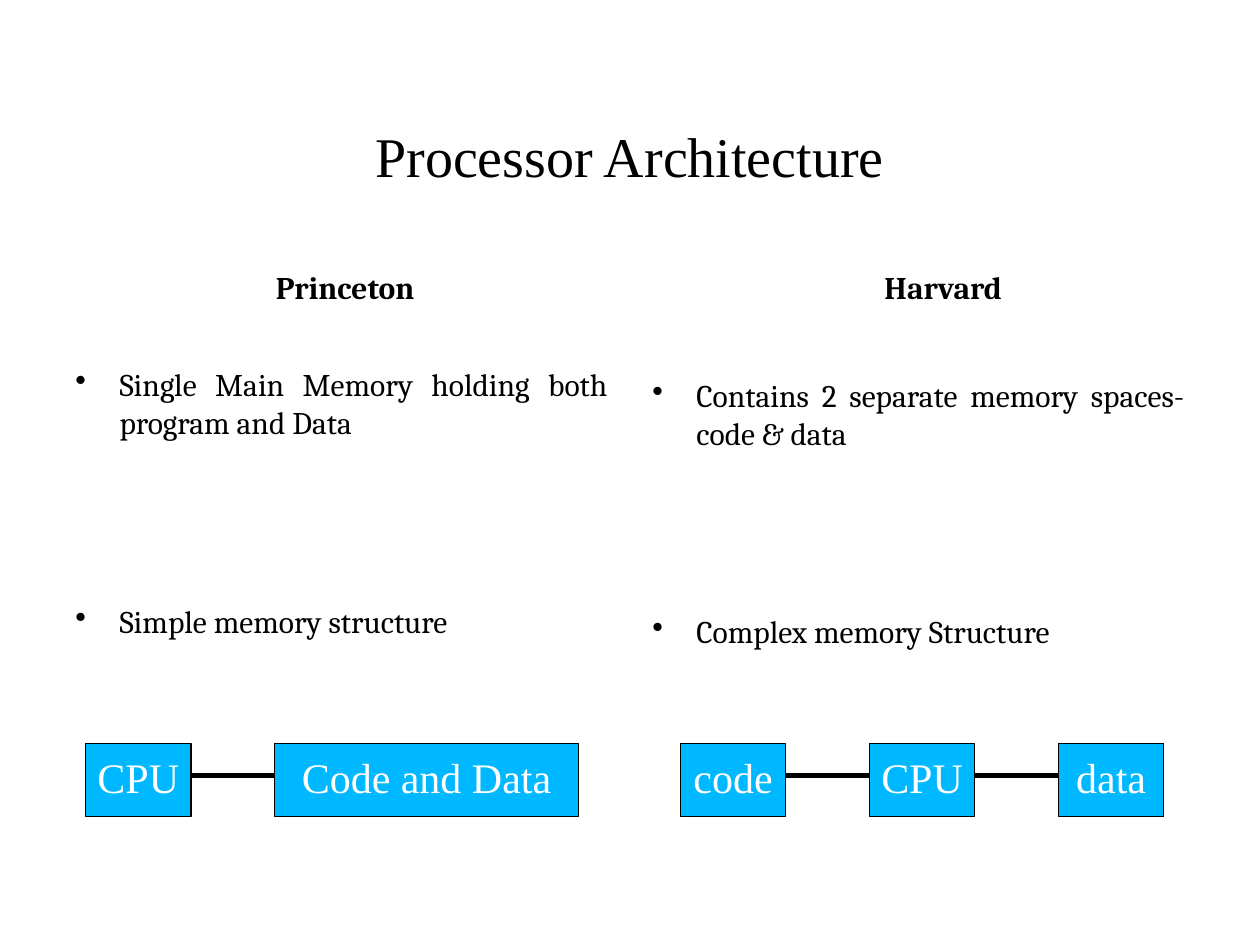
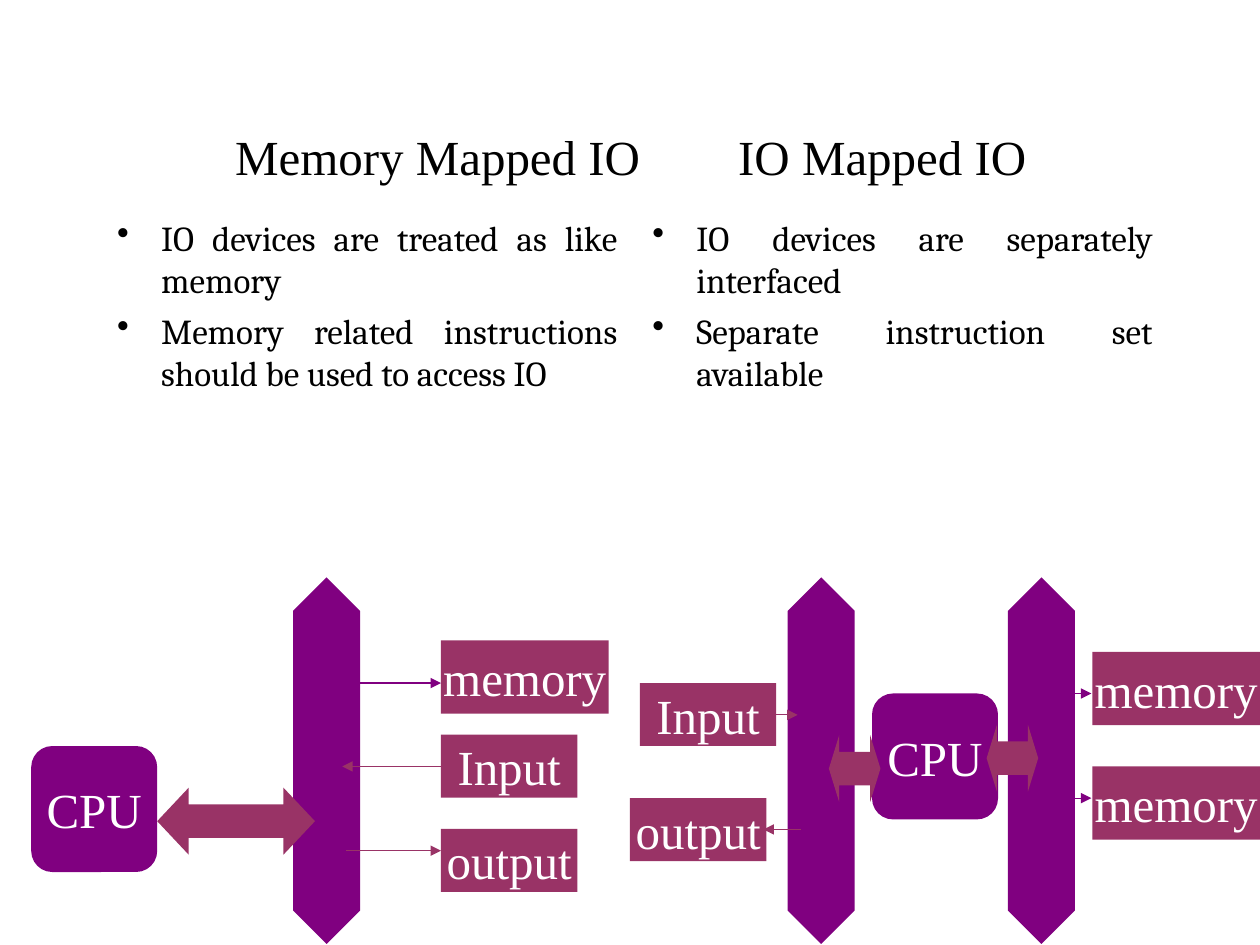
from lxml.etree import SubElement
from pptx import Presentation
from pptx.dml.color import RGBColor
from pptx.enum.shapes import MSO_CONNECTOR, MSO_SHAPE
from pptx.enum.text import MSO_ANCHOR, MSO_AUTO_SIZE, PP_ALIGN
from pptx.oxml.ns import qn
from pptx.util import Cm, Pt

BLACK, WHITE = "000000", "FFFFFF"
SKY, PURPLE, PLUM = "00B8FF", "800080", "993366"
SERIF, BODY = "Times New Roman", "Cambria"
INDENT = Cm(0.89)

BLOCK_WIDTH, BLOCK_HEIGHT, BLOCK_GAP = 2.12, 1.47, 1.69
BUS_SIZE = (1.35, 7.39)
CPU_SIZE = (2.54, 2.54)
MEMORY_SIZE = (3.38, 1.48)
PORT_SIZE = (2.75, 1.27)


def set_all(target, values):
    for name, value in values.items():
        setattr(target, name, value)


def colour(hex_string):
    return RGBColor.from_string(hex_string)


def write(para, text, font, size, ink=BLACK, bold=False):
    span = para.add_run()
    span.text = text
    set_all(span.font, {"name": font, "size": Pt(size), "bold": bold})
    span.font.color.rgb = colour(ink)


def add_title(page, text, size, left_margin=0.25, tab=None):
    """Centre the title, or start it at left_margin with a second part at the tab."""
    title = page.shapes.title
    set_all(title, {"left": Cm(1.27), "top": Cm(2.32), "width": Cm(22.86), "height": Cm(1.63)})
    frame = title.text_frame
    set_all(frame, {"word_wrap": True, "auto_size": MSO_AUTO_SIZE.NONE,
                    "vertical_anchor": MSO_ANCHOR.MIDDLE, "margin_left": Cm(left_margin)})
    para = frame.paragraphs[0]
    para.alignment = PP_ALIGN.LEFT if tab else PP_ALIGN.CENTER
    if tab:
        stops = SubElement(para._p.get_or_add_pPr(), qn("a:tabLst"))
        SubElement(stops, qn("a:tab"), pos=str(Cm(tab)), algn="l")
    write(para, text, SERIF, size)


def add_column(page, box, bullets, size, gaps, heading=None, heading_indent=0):
    """Write an optional heading and bullets; gaps holds the space before each bullet."""
    text_box = page.shapes.add_textbox(*map(Cm, box))
    frame = text_box.text_frame
    frame.word_wrap = True
    para = frame.paragraphs[0]
    if heading:
        para._p.get_or_add_pPr().set("marL", str(Cm(heading_indent)))
        write(para, heading, BODY, size, bold=True)
    for number, (bullet, gap) in enumerate(zip(bullets, gaps)):
        if heading or number:
            para = frame.add_paragraph()
        set_all(para, {"alignment": PP_ALIGN.JUSTIFY, "space_before": Pt(gap)})
        properties = para._p.get_or_add_pPr()
        properties.set("marL", str(INDENT))
        properties.set("indent", str(-INDENT))
        SubElement(properties, qn("a:buChar"), char="•")
        write(para, bullet, BODY, size)


def add_block(page, kind, position, size, fill, label=None, font_size=28,
              outline=None, spacing=None, adjustments=()):
    block = page.shapes.add_shape(kind, *map(Cm, (*position, *size)))
    block.shadow.inherit = False
    block.fill.solid()
    block.fill.fore_color.rgb = colour(fill)
    if outline:
        block.line.color.rgb = colour(outline)
        block.line.width = Pt(0.75)
    else:
        block.line.fill.background()
    for index, value in enumerate(adjustments):
        block.adjustments[index] = value
    if label:
        set_all(block.text_frame, {"word_wrap": False, "vertical_anchor": MSO_ANCHOR.MIDDLE})
        para = block.text_frame.paragraphs[0]
        set_all(para, {"alignment": PP_ALIGN.CENTER, "line_spacing": spacing})
        write(para, label, SERIF, font_size, WHITE)


def add_wire(page, start, end, ink, width=0.75, heads=()):
    """Draw a line; heads names the ends ("headEnd", "tailEnd") that get a triangle."""
    wire = page.shapes.add_connector(MSO_CONNECTOR.STRAIGHT, *map(Cm, (*start, *end)))
    wire.line.color.rgb = colour(ink)
    wire.line.width = Pt(width)
    outline = wire.line._get_or_add_ln()
    for head in heads:
        SubElement(outline, qn(f"a:{head}"), type="triangle")
    SubElement(wire._element.spPr, qn("a:effectLst"))


def add_memory_chain(page, left, top, blocks):
    """Place (label, width) blocks in a row, joined by thick lines."""
    wire_y = top + 0.64
    for number, (label, width) in enumerate(blocks):
        if number:
            add_wire(page, (left - BLOCK_GAP, wire_y), (left, wire_y), BLACK, 3)
        add_block(page, MSO_SHAPE.RECTANGLE, (left, top), (width, BLOCK_HEIGHT), SKY,
                  label, 24, BLACK, 0.87)
        left += width + BLOCK_GAP


def add_bus_diagram(page, left, top, cpu, buses, devices, wires, links):
    """Draw a CPU, its buses and its devices, all placed relative to left and top."""
    def at(position):
        return left + position[0], top + position[1]

    add_block(page, MSO_SHAPE.ROUNDED_RECTANGLE, at(cpu), CPU_SIZE, PURPLE, "CPU",
              adjustments=(0.167,))
    for x in buses:
        add_block(page, MSO_SHAPE.UP_DOWN_ARROW, at((x, 0)), BUS_SIZE, PURPLE,
                  adjustments=(0.5, 1.1))
    for label, position in devices:
        size = MEMORY_SIZE if label == "memory" else PORT_SIZE
        add_block(page, MSO_SHAPE.RECTANGLE, at(position), size, PLUM, label)
    for start_x, end_x, y, both_ways in wires:
        heads = ("headEnd", "tailEnd") if both_ways else ("tailEnd",)
        add_wire(page, at((start_x, y)), at((end_x, y)), PURPLE if both_ways else PLUM,
                 heads=heads)
    for position, width, head in links:
        add_block(page, MSO_SHAPE.LEFT_RIGHT_ARROW, at(position), (width, 1.35), PLUM,
                  adjustments=(0.5, head))


def build_architecture(page):
    add_title(page, "Processor Architecture", 32)
    add_column(page, (1.27, 5.28, 11.23, 12.5),
               ["Single Main Memory holding both program and Data", "Simple memory structure"],
               18, (34, 92), "Princeton", 4.04)
    add_column(page, (12.9, 5.28, 11.23, 12.5),
               ["Contains 2 separate memory spaces- code & data", "Complex memory Structure"],
               18, (40, 92), "Harvard", 4.68)
    add_memory_chain(page, 1.73, 14.99, [("CPU", BLOCK_WIDTH), ("Code and Data", 6.12)])
    add_memory_chain(page, 13.72, 14.99,
                     [(label, BLOCK_WIDTH) for label in ("code", "CPU", "data")])


def build_io_mapping(page):
    add_title(page, "Memory Mapped IO\tIO Mapped IO", 28, left_margin=3.47, tab=10.14)
    columns = {
        2.11: ["IO devices are treated as like memory",
               "Memory related instructions should be used to access IO"],
        12.9: ["IO devices are separately interfaced",
               "Separate instruction set available"],
    }
    for left, bullets in columns.items():
        add_column(page, (left, 4.24, 10.59, 11.43), bullets, 20, (0, 5))
    add_bus_diagram(
        page, 0.63, 11.64, cpu=(0, 3.4), buses=[5.28],
        devices=[(label, (8.26, 1.27 + 1.9 * row))
                 for row, label in enumerate(("memory", "Input", "output"))],
        wires=[(6.35, 8.26, 2.13, True), (8.26, 6.27, 3.81, False), (6.35, 8.26, 5.51, False)],
        links=[((2.54, 4.24), 3.18, 0.47)])
    add_bus_diagram(
        page, 12.7, 11.64, cpu=(4.88, 2.34), buses=[3.18, 7.62],
        devices=[("memory", (9.32, 1.5)), ("memory", (9.32, 3.81)),
                 ("Input", (0.2, 2.13)), ("output", (0, 4.45))],
        wires=[(8.69, 9.3, 2.34, True), (8.46, 9.3, 4.45, True),
               (2.74, 3.38, 2.77, False), (3.45, 2.69, 5.08, False)],
        links=[((4.01, 3.18), 1.04, 0.2), ((7.19, 2.97), 1.04, 0.2)])


def main():
    deck = Presentation()
    set_all(deck, {"slide_width": Cm(25.4), "slide_height": Cm(19.05)})
    title_only = deck.slide_layouts[5]
    for build in (build_architecture, build_io_mapping):
        build(deck.slides.add_slide(title_only))
    deck.save("out.pptx")


if __name__ == "__main__":
    main()
